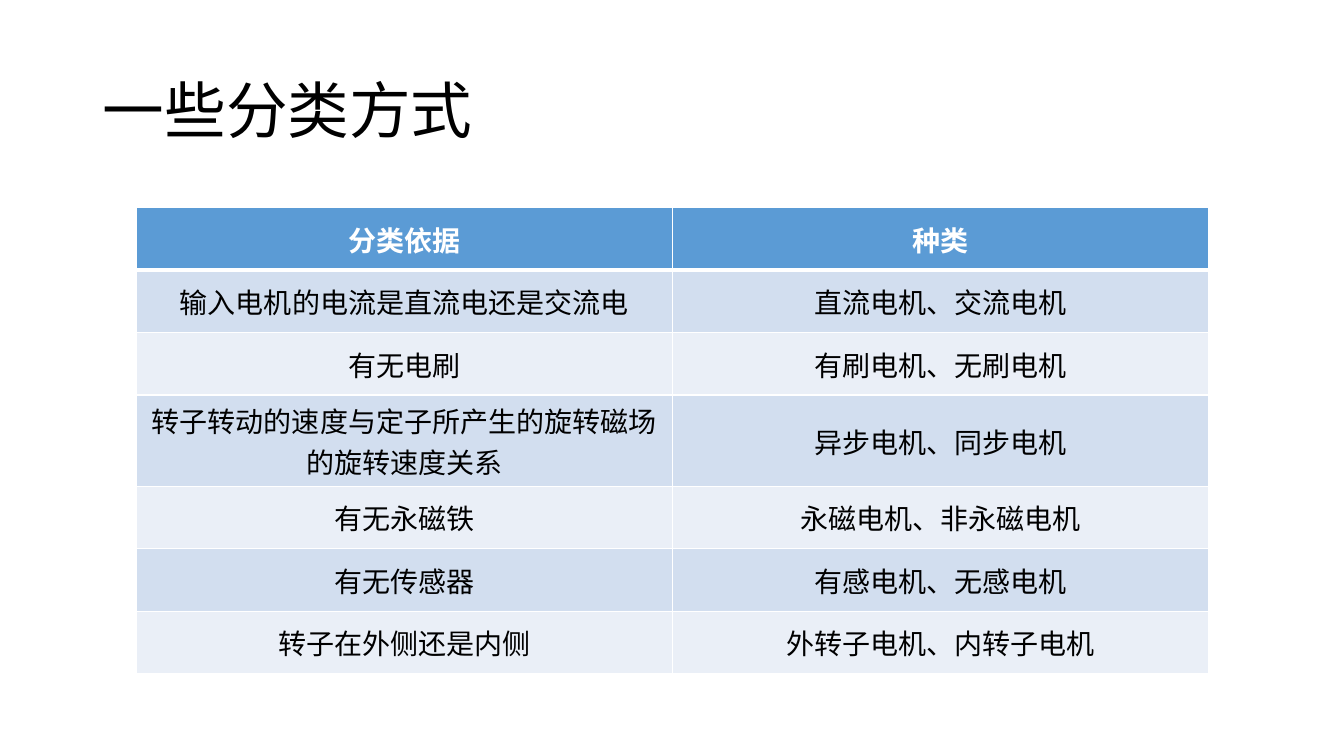
from dataclasses import dataclass

from lxml.etree import SubElement
from pptx import Presentation
from pptx.dml.color import RGBColor
from pptx.enum.text import MSO_ANCHOR as Anchor, MSO_AUTO_SIZE as AutoSize, PP_ALIGN as Align
from pptx.oxml.ns import qn
from pptx.slide import Slide
from pptx.table import _Cell as Cell
from pptx.util import Inches, Pt

FONT = "Calibri"
BLACK = RGBColor(0x00, 0x00, 0x00)
WHITE = RGBColor(0xFF, 0xFF, 0xFF)
HEADER_BLUE = RGBColor(0x5B, 0x9B, 0xD5)
BAND_COLORS = (RGBColor(0xD2, 0xDE, 0xEF), RGBColor(0xEA, 0xEF, 0xF7))
COLUMN_WIDTH = Inches(5.32)
ROW_HEIGHT = Inches(0.62)


@dataclass(frozen=True)
class Classification:
    basis: str
    kinds: str


HEADER = Classification("分类依据", "种类")
CLASSIFICATIONS = (
    Classification("输入电机的电流是直流电还是交流电", "直流电机、交流电机"),
    Classification("有无电刷", "有刷电机、无刷电机"),
    Classification("转子转动的速度与定子所产生的旋转磁场的旋转速度关系", "异步电机、同步电机"),
    Classification("有无永磁铁", "永磁电机、非永磁电机"),
    Classification("有无传感器", "有感电机、无感电机"),
    Classification("转子在外侧还是内侧", "外转子电机、内转子电机"),
)


def add_title(slide: Slide, text: str) -> None:
    title = slide.shapes.title
    title.left, title.top = Inches(0.92), Inches(0.4)
    title.width, title.height = Inches(11.5), Inches(1.45)
    frame = title.text_frame
    frame.text = text
    frame.auto_size = AutoSize.NONE
    frame.vertical_anchor = Anchor.MIDDLE
    paragraph = frame.paragraphs[0]
    paragraph.alignment = Align.LEFT
    paragraph.line_spacing = 0.9
    paragraph.font.name = FONT
    paragraph.font.size = Pt(44)
    paragraph.font.color.rgb = BLACK


def set_borders(cell: Cell, bottom_width: Pt) -> None:
    """Draw white cell borders; the schema wants them ahead of the fill."""
    properties = cell._tc.get_or_add_tcPr()
    widths = {"a:lnL": Pt(1), "a:lnR": Pt(1), "a:lnT": Pt(1), "a:lnB": bottom_width}
    for position, (tag, width) in enumerate(widths.items()):
        line = SubElement(properties, qn(tag), w=str(width))
        fill = SubElement(line, qn("a:solidFill"))
        SubElement(fill, qn("a:srgbClr"), val=str(WHITE))
        properties.insert(position, line)


def fill_cell(cell: Cell, text: str, background: RGBColor, is_header: bool) -> None:
    cell.text = text
    cell.vertical_anchor = Anchor.MIDDLE
    cell.fill.solid()
    cell.fill.fore_color.rgb = background
    set_borders(cell, Pt(3) if is_header else Pt(1))
    paragraph = cell.text_frame.paragraphs[0]
    paragraph.alignment = Align.CENTER
    paragraph.font.name = FONT
    paragraph.font.size = Pt(20)
    paragraph.font.bold = is_header
    paragraph.font.color.rgb = WHITE if is_header else BLACK


def add_classification_table(slide: Slide) -> None:
    entries = (HEADER, *CLASSIFICATIONS)
    table = slide.shapes.add_table(
        len(entries), 2, Inches(1.35), Inches(2.06),
        2 * COLUMN_WIDTH, len(entries) * ROW_HEIGHT,
    ).table
    for index, entry in enumerate(entries):
        is_header = index == 0
        background = HEADER_BLUE if is_header else BAND_COLORS[(index - 1) % 2]
        table.rows[index].height = ROW_HEIGHT
        for cell, text in zip(table.rows[index].cells, (entry.basis, entry.kinds)):
            fill_cell(cell, text, background, is_header)


def main() -> None:
    presentation = Presentation()
    presentation.slide_width = Inches(13.33)
    presentation.slide_height = Inches(7.5)
    slide = presentation.slides.add_slide(presentation.slide_layouts.get_by_name("Title Only"))
    add_title(slide, "一些分类方式")
    add_classification_table(slide)
    presentation.save("out.pptx")


if __name__ == "__main__":
    main()
